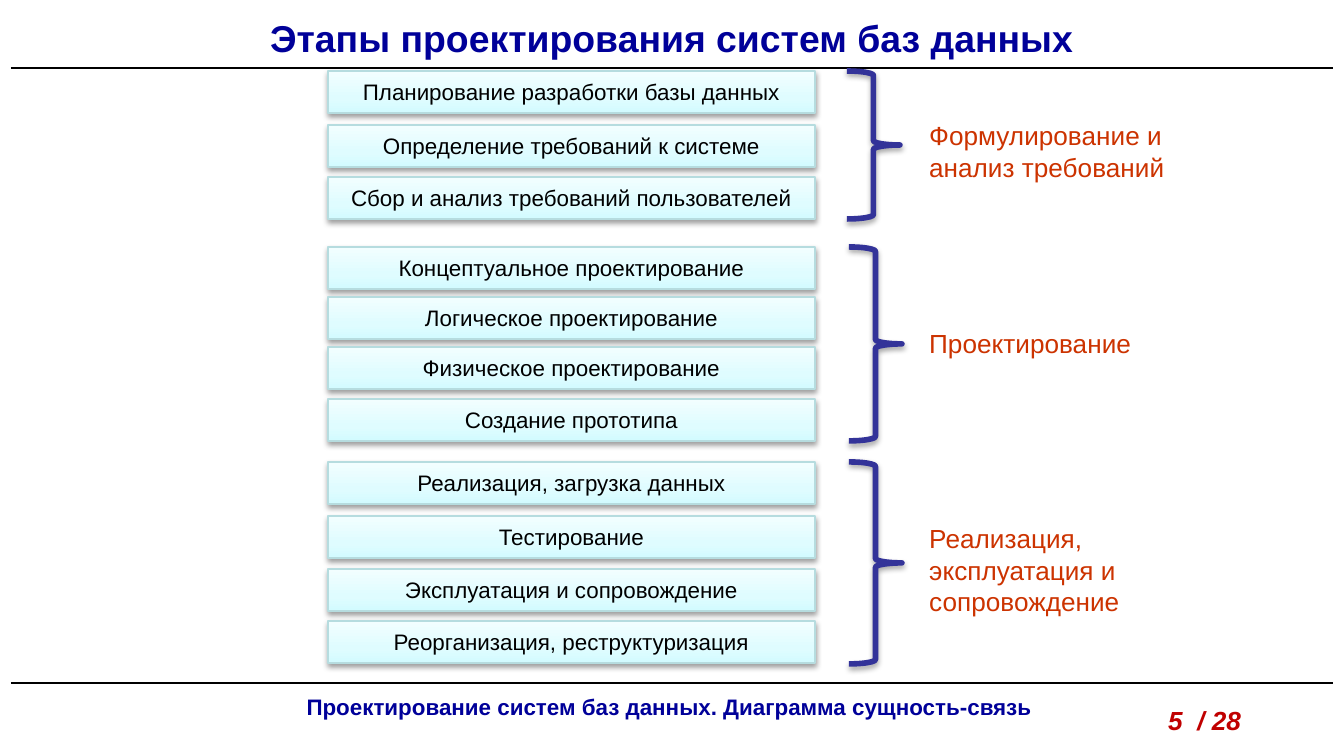
from lxml import etree
from pptx import Presentation
from pptx import util as u
from pptx.dml.color import RGBColor
from pptx.enum import shapes, text
from pptx.oxml import parse_xml
from pptx.oxml.ns import nsdecls, qn

PX = 914400 / 134.4
NAVY = RGBColor(0x00, 0x00, 0x99)
INDIGO = RGBColor(0x33, 0x33, 0x99)
CRIMSON = RGBColor(0xC0, 0x00, 0x00)
RUST = RGBColor(0xCC, 0x33, 0x00)
BLACK = RGBColor(0x00, 0x00, 0x00)
PALE_TEAL = RGBColor(0xB6, 0xDC, 0xDF)
GRADIENT = ((0, "D3FBFF"), (35, "DFFCFF"), (100, "F2FEFF"))

LEFT, CENTER = text.PP_ALIGN.LEFT, text.PP_ALIGN.CENTER
TOP, MIDDLE = text.MSO_ANCHOR.TOP, text.MSO_ANCHOR.MIDDLE


def write(shape, lines, size, color, align=LEFT, anchor=TOP, wrap=True, bold=False, italic=False):
    frame = shape.text_frame
    frame.word_wrap = wrap
    frame.vertical_anchor = anchor
    frame.text = lines
    for paragraph in frame.paragraphs:
        paragraph.alignment = align
        font = paragraph.font
        font.name, font.size, font.color.rgb = "Arial", u.Pt(size), color
        font.bold, font.italic = bold, italic


def cast_shadow(shape, distance, opacity):
    """Give the shape a soft shadow straight below; distance in points, opacity in percent."""
    shape.shadow.inherit = False
    effects = shape._element.spPr.find(qn("a:effectLst"))
    effects.append(parse_xml(
        f'<a:outerShdw {nsdecls("a")} blurRad="{u.Pt(3.1)}" dist="{u.Pt(distance)}" dir="5400000" '
        f'rotWithShape="0"><a:srgbClr val="000000"><a:alpha val="{opacity * 1000}"/></a:srgbClr>'
        '</a:outerShdw>'))


prs = Presentation()
prs.slide_width, prs.slide_height = round(1344 * PX), round(756 * PX)
slide = prs.slides.add_slide(prs.slide_layouts[6])
canvas = slide.shapes

# Frame: rules, footer, page number and title
for y in (683, 68):
    rule = canvas.add_connector(shapes.MSO_CONNECTOR.STRAIGHT, *(round(n * PX) for n in (11, y, 1333, y)))
    rule.line.color.rgb, rule.line.width = BLACK, u.Pt(0.75)
    etree.SubElement(rule._element.spPr, qn("a:effectLst"))

footer = canvas.add_textbox(*(round(n * PX) for n in (168, 687, 1003, 41)))
write(footer, "Проектирование систем баз данных. Диаграмма сущность-связь", 12, NAVY, CENTER, bold=True)
page = canvas.add_textbox(*(round(n * PX) for n in (1155, 698, 137, 45)))
write(page, "5  / 28", 14, CRIMSON, bold=True, italic=True)
title = canvas.add_textbox(*(round(n * PX) for n in (0, 8, 1344, 60)))
write(title, "Этапы проектирования систем баз данных", 20, NAVY, CENTER, MIDDLE, bold=True)

# Each phase: its steps with their tops, its brace box, its label with label box
phases = (
    (((71, "Планирование разработки базы данных"),
      (125, "Определение требований к системе"),
      (177, "Сбор и анализ требований пользователей")),
     (847, 71, 53, 148),
     "Формулирование и\nанализ требований", (916, 113, 263, 77)),
    (((247, "Концептуальное проектирование"),
      (297, "Логическое проектирование"),
      (347, "Физическое проектирование"),
      (399, "Создание прототипа")),
     (849, 247, 53, 194),
     "Проектирование", (916, 321, 230, 45)),
    (((462, "Реализация, загрузка данных"),
      (516, "Тестирование"),
      (569, "Эксплуатация и сопровождение"),
      (621, "Реорганизация, реструктуризация")),
     (849, 462, 53, 202),
     "Реализация,\nэксплуатация и\nсопровождение", (916, 516, 219, 109)),
)

stops = "".join(f'<a:gs pos="{pos * 1000}"><a:srgbClr val="{color}"/></a:gs>' for pos, color in GRADIENT)
gradient_xml = (f'<a:gradFill {nsdecls("a")} rotWithShape="1"><a:gsLst>{stops}</a:gsLst>'
                '<a:lin ang="16200000" scaled="0"/></a:gradFill>')

for steps, brace_box, label_text, label_box in phases:
    for top, step_text in steps:
        step = canvas.add_shape(shapes.MSO_SHAPE.RECTANGLE, *(round(n * PX) for n in (328, top, 487, 42)))
        step._element.spPr.find(qn("a:prstGeom")).addnext(parse_xml(gradient_xml))
        step.line.color.rgb, step.line.width = PALE_TEAL, u.Pt(0.75)
        cast_shadow(step, 1.6, 38)
        write(step, step_text, 12, BLACK, CENTER, MIDDLE)

    brace = canvas.add_shape(shapes.MSO_SHAPE.RIGHT_BRACE, *(round(n * PX) for n in brace_box))
    brace.fill.background()
    brace.line.color.rgb, brace.line.width = INDIGO, u.Pt(3)
    cast_shadow(brace, 1.8, 35)

    label = canvas.add_textbox(*(round(n * PX) for n in label_box))
    write(label, label_text, 14, RUST, wrap=False)

prs.save("out.pptx")
